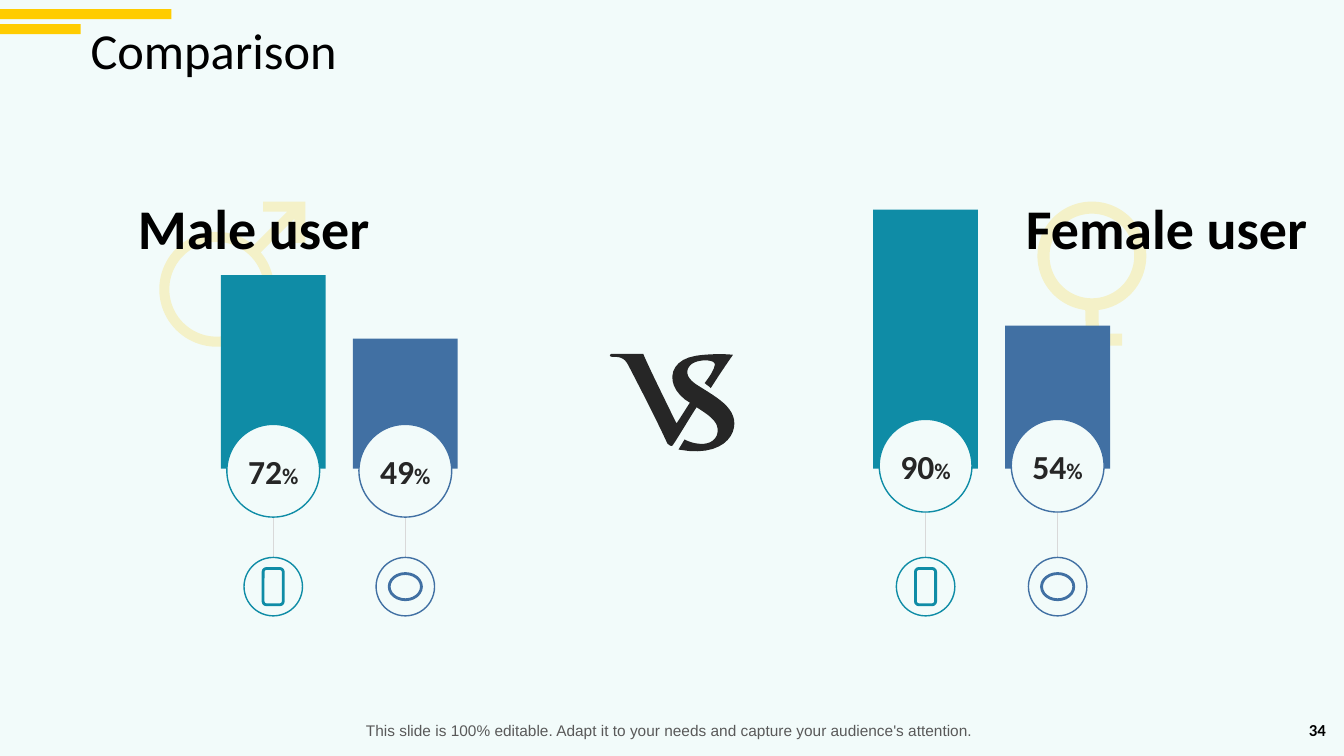
from math import cos, radians, sin

from lxml import etree
from pptx import Presentation
from pptx.dml.color import RGBColor
from pptx.enum.shapes import MSO_CONNECTOR, MSO_SHAPE
from pptx.enum.text import MSO_ANCHOR, PP_ALIGN
from pptx.oxml.ns import qn
from pptx.util import Inches, Pt

RECT, OVAL, ROUNDED = MSO_SHAPE.RECTANGLE, MSO_SHAPE.OVAL, MSO_SHAPE.ROUNDED_RECTANGLE
STRAIGHT = MSO_CONNECTOR.STRAIGHT
LEFT, CENTER = PP_ALIGN.LEFT, PP_ALIGN.CENTER
TOP, MIDDLE = MSO_ANCHOR.TOP, MSO_ANCHOR.MIDDLE

MINT = RGBColor(0xF2, 0xFB, 0xFA)
YELLOW = RGBColor(0xFF, 0xCC, 0x00)
TEAL = RGBColor(0x0F, 0x8C, 0xA6)
BLUE = RGBColor(0x41, 0x70, 0xA3)
DARK = RGBColor(0x26, 0x26, 0x26)
GRAY = RGBColor(0x59, 0x59, 0x59)
LIGHT_GRAY = RGBColor(0xD9, 0xD9, 0xD9)
BLACK = RGBColor(0, 0, 0)

BAR_WIDTH, BAR_STEP, BAR_BOTTOM = 1.04, 1.31, 4.65
BADGE, ICON_RING, ICON_TOP = 0.92, 0.58, 5.53

# Outlines: a start point, then lines (x, y) and cubic curves (x1, y1, x2, y2, x, y)
LETTER_V = [
    (6.05, 3.53), (6.05, 3.52, 6.06, 3.51, 6.07, 3.51), (6.38, 3.51),
    (6.41, 3.59, 6.64, 4.06, 6.71, 4.2), (6.72, 4.19, 6.82, 4.03, 6.84, 4),
    (6.88, 3.97, 6.93, 4, 6.91, 4.04), (6.88, 4.08, 6.69, 4.4, 6.67, 4.42),
    (6.66, 4.43, 6.64, 4.42, 6.62, 4.4), (6.49, 4.12, 6.37, 3.89, 6.23, 3.62),
    (6.19, 3.54, 6.13, 3.54, 6.07, 3.54), (6.06, 3.54, 6.05, 3.53, 6.05, 3.53),
]
LETTER_S = [
    (6.85, 4), (6.6, 3.86, 6.6, 3.58, 6.9, 3.53), (7.03, 3.51, 7.18, 3.51, 7.27, 3.52),
    (7.2, 3.62, 7.12, 3.74, 7.05, 3.85), (7.03, 3.83, 7.01, 3.82, 6.99, 3.8),
    (7.05, 3.72, 7.08, 3.67, 7.09, 3.62), (7.1, 3.56, 6.91, 3.56, 6.85, 3.62),
    (6.8, 3.67, 6.8, 3.74, 6.9, 3.81), (7.07, 3.92, 7.25, 4.01, 7.28, 4.16),
    (7.31, 4.32, 7.16, 4.54, 6.73, 4.46), (6.79, 4.36),
    (6.86, 4.4, 7.05, 4.45, 7.11, 4.32), (7.16, 4.17, 6.99, 4.1, 6.85, 4),
]
MALE_ARROW = [(2.85, 2.1), (2.61, 2.1), (2.61, 2), (3.03, 2), (3.03, 2.41),
              (2.92, 2.41), (2.92, 2.17)]
FEMALE_CROSS = [(10.9, 3.31), (11.13, 3.31), (11.13, 3.43), (10.9, 3.43), (10.9, 3.67),
                (10.77, 3.67), (10.77, 3.43), (10.54, 3.43), (10.54, 3.31), (10.77, 3.31)]


def flatten(outline, steps=12):
    """Turn the cubic curves of an outline into short lines."""
    points = [outline[0]]
    for segment in outline[1:]:
        if len(segment) == 2:
            points.append(segment)
            continue
        x0, y0 = points[-1]
        x1, y1, x2, y2, x3, y3 = segment
        for i in range(1, steps + 1):
            t = i / steps
            a, b, c, d = (1 - t) ** 3, 3 * t * (1 - t) ** 2, 3 * t * t * (1 - t), t ** 3
            points.append((a * x0 + b * x1 + c * x2 + d * x3,
                           a * y0 + b * y1 + c * y2 + d * y3))
    return points


def arc(cx, cy, radius, start, sweep, steps=90):
    angles = [radians(start + sweep * i / steps) for i in range(steps + 1)]
    return [(cx + radius * cos(a), cy + radius * sin(a)) for a in angles]


def style(s, fill=None, line=None, width=1):
    s.shadow.inherit = False
    if fill is None:
        s.fill.background()
    else:
        s.fill.solid()
        s.fill.fore_color.rgb = fill
    if line is None:
        s.line.fill.background()
    else:
        s.line.color.rgb = line
        s.line.width = Pt(width)


def add_shape(slide, kind, x, y, w, h, fill=None, line=None, width=1):
    s = slide.shapes.add_shape(kind, Inches(x), Inches(y), Inches(w), Inches(h))
    style(s, fill, line, width)
    return s


def add_outline(slide, contours, fill):
    """Draw closed contours as one shape; an inner contour is a hole."""
    scaled = [[(Inches(x), Inches(y)) for x, y in points] for points in contours]
    builder = slide.shapes.build_freeform(*scaled[0][0])
    builder.add_line_segments(scaled[0][1:], close=True)
    for points in scaled[1:]:
        builder.move_to(*points[0])
        builder.add_line_segments(points[1:], close=True)
    s = builder.convert_to_shape()
    style(s, fill)
    return s


def add_gender_sign(slide, cx, cy, outer, inner, start, sweep, tail):
    rim = arc(cx, cy, outer, start, sweep) + tail
    s = add_outline(slide, [rim, arc(cx, cy, inner, 0, 360)], YELLOW)
    color = s.fill._xPr.find(qn("a:solidFill"))[0]
    etree.SubElement(color, qn("a:alpha")).set("val", "20000")


def add_text(slide, x, y, w, h, runs, color, bold=False, font="Calibri",
             align=CENTER, anchor=TOP):
    """Add one line of text made of (text, size) runs."""
    tf = slide.shapes.add_textbox(Inches(x), Inches(y), Inches(w), Inches(h)).text_frame
    tf.word_wrap = True
    tf.vertical_anchor = anchor
    p = tf.paragraphs[0]
    p.alignment = align
    for text, size in runs:
        r = p.add_run()
        r.text = text
        r.font.name, r.font.size, r.font.bold = font, Pt(size), bold
        r.font.color.rgb = color


def add_stem(slide, x):
    s = slide.shapes.add_connector(STRAIGHT, Inches(x), Inches(4.56), Inches(x), Inches(5.7))
    s.line.color.rgb = LIGHT_GRAY
    s.line.width = Pt(0.5)
    etree.SubElement(s._element.spPr, qn("a:effectLst"))


def add_bar(slide, x, height, badge_top, percent, color, icon):
    kind, icon_w, icon_h = icon
    center = x + BAR_WIDTH / 2
    add_shape(slide, RECT, x, BAR_BOTTOM - height, BAR_WIDTH, height, color)
    add_stem(slide, center)
    add_shape(slide, OVAL, center - BADGE / 2, badge_top, BADGE, BADGE, MINT, color)
    add_text(slide, center - 0.43, badge_top + 0.21, 0.86, 0.5,
             [(percent, 24), ("%", 16)], DARK, bold=True)
    add_shape(slide, OVAL, center - ICON_RING / 2, ICON_TOP, ICON_RING, ICON_RING, MINT, color)
    add_shape(slide, kind, center - icon_w / 2, ICON_TOP + (ICON_RING - icon_h) / 2,
              icon_w, icon_h, line=color, width=2)


def add_bars(slide, left, badge_top, bars):
    networks = [(TEAL, (ROUNDED, 0.2, 0.36)), (BLUE, (OVAL, 0.32, 0.26))]
    for i, ((percent, height), (color, icon)) in enumerate(zip(bars, networks)):
        add_bar(slide, left + i * BAR_STEP, height, badge_top, percent, color, icon)


def main():
    prs = Presentation()
    prs.slide_width, prs.slide_height = Inches(13.33), Inches(7.5)
    slide = prs.slides.add_slide(prs.slide_layouts[6])
    slide.background.fill.solid()
    slide.background.fill.fore_color.rgb = MINT

    for y, w in ((0.09, 1.7), (0.24, 0.8)):
        add_shape(slide, RECT, 0, y, w, 0.1, YELLOW)
    add_text(slide, 0.8, 0.14, 12.33, 0.7, [("Comparison", 36)], BLACK,
             align=LEFT, anchor=MIDDLE)
    for letter in (LETTER_V, LETTER_S):
        add_outline(slide, [flatten(letter)], DARK)

    add_gender_sign(slide, 2.15, 2.87, 0.57, 0.47, -40, 350, MALE_ARROW)
    add_text(slide, 1.14, 1.87, 2.75, 0.77, [("Male user", 40)], BLACK, bold=True)
    add_bars(slide, 2.19, 4.21, [("72", 1.92), ("49", 1.29)])

    add_gender_sign(slide, 10.83, 2.54, 0.54, 0.42, 97, 346, FEMALE_CROSS)
    add_text(slide, 10.06, 1.87, 3.02, 0.77, [("Female user", 40)], BLACK, bold=True)
    add_bars(slide, 8.66, 4.16, [("90", 2.57), ("54", 1.42)])

    add_text(slide, 0.58, 7.1, 12.12, 0.29,
             [("This slide is 100% editable. Adapt it to your needs and capture "
               "your audience's attention.", 11)], GRAY, font="Arial")
    add_text(slide, 12.79, 7.08, 0.55, 0.32, [("34", 12)], BLACK, bold=True, anchor=MIDDLE)
    prs.save("out.pptx")


if __name__ == "__main__":
    main()
